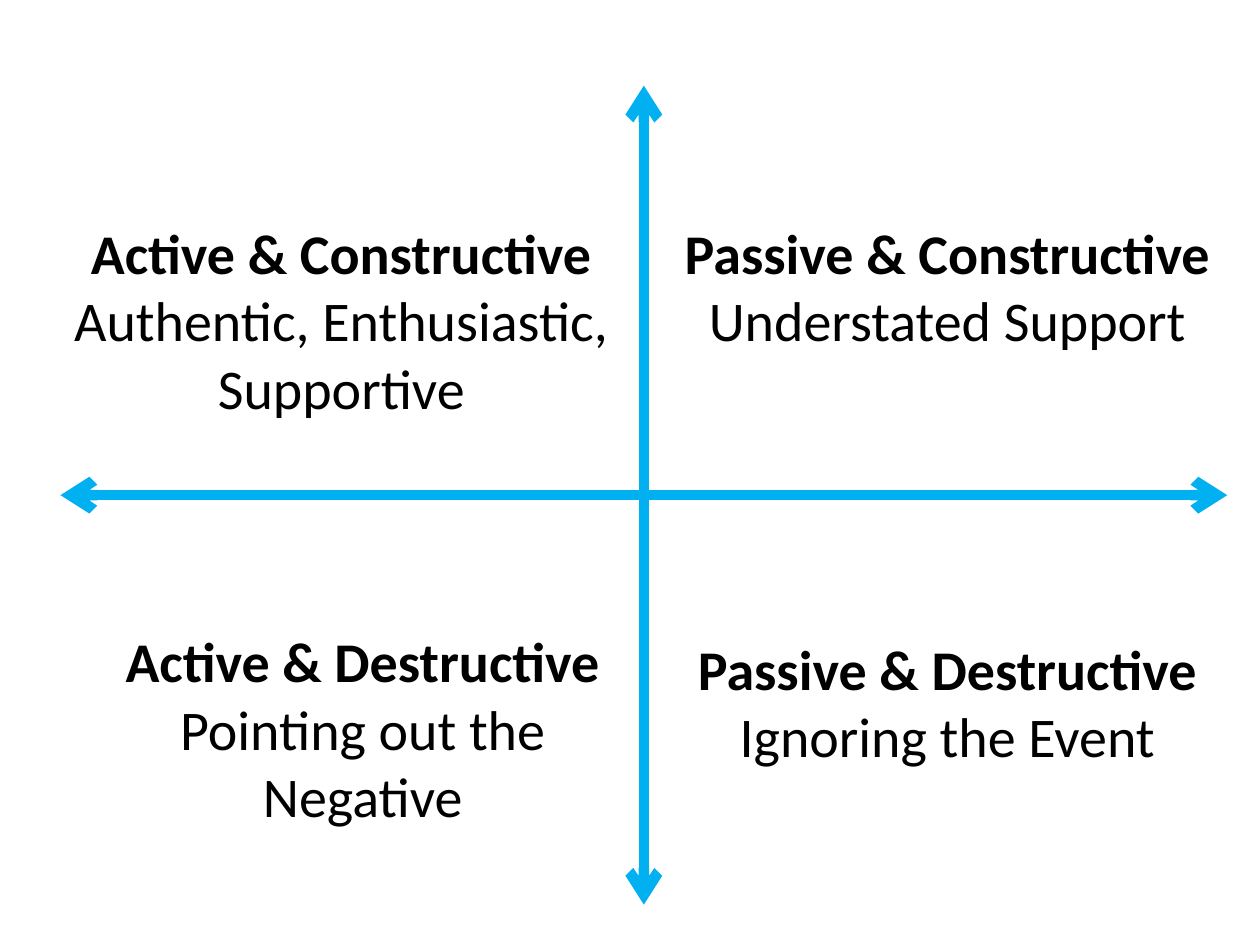
from lxml import etree
from pptx import Presentation
from pptx.dml.color import RGBColor
from pptx.enum.shapes import MSO_CONNECTOR
from pptx.enum.text import MSO_ANCHOR, PP_ALIGN
from pptx.oxml.ns import qn
from pptx.util import Inches, Pt

STRAIGHT = MSO_CONNECTOR.STRAIGHT
MIDDLE = MSO_ANCHOR.MIDDLE
CENTER = PP_ALIGN.CENTER

COLORS = {"background": "FFFFFF", "text": "000000", "axis": "00B0F0"}
FONT = "Calibri"

# Left, top, width, height in inches, then the heading and its description lines
QUADRANTS = [
    ((0.48, 1.15, 4.46, 2.77), "Active & Constructive",
     ["Authentic, Enthusiastic,", "Supportive"]),
    ((0.65, 4.39, 4.46, 2.77), "Active & Destructive",
     ["Pointing out the Negative"]),
    ((5.29, 1.15, 4.46, 2.24), "Passive & Constructive",
     ["Understated Support"]),
    ((5.29, 4.45, 4.46, 2.24), "Passive & Destructive",
     ["Ignoring the Event"]),
]


def color(name):
    return RGBColor.from_string(COLORS[name])


def add_quadrant(slide, box, heading, descriptions):
    shape = slide.shapes.add_textbox(*map(Inches, box))
    frame = shape.text_frame
    frame.word_wrap = True
    frame.vertical_anchor = MIDDLE
    for index, text in enumerate([heading, *descriptions]):
        paragraph = frame.paragraphs[0] if index == 0 else frame.add_paragraph()
        paragraph.alignment = CENTER
        run = paragraph.add_run()
        run.text = text
        run.font.name = FONT
        run.font.size = Pt(32)
        run.font.bold = index == 0
        run.font.color.rgb = color("text")


def add_axis(slide, start, end):
    """Draw a line with an open arrowhead at both ends."""
    connector = slide.shapes.add_connector(STRAIGHT, *map(Inches, start + end))
    connector.line.color.rgb = color("axis")
    connector.line.width = Pt(6)
    properties = connector._element.spPr
    outline = properties.find(qn("a:ln"))
    for tag in ("a:headEnd", "a:tailEnd"):
        etree.SubElement(outline, qn(tag), type="arrow")
    etree.SubElement(properties, qn("a:effectLst"))


def add_axes(slide, box):
    """Draw the two axes, which cross at the middle of the box."""
    left, top, width, height = box
    middle_x, middle_y = left + width / 2, top + height / 2
    add_axis(slide, (middle_x, top), (middle_x, top + height))
    add_axis(slide, (left, middle_y), (left + width, middle_y))


def main():
    presentation = Presentation()
    presentation.slide_width = Inches(10)
    presentation.slide_height = Inches(7.5)
    slide = presentation.slides.add_slide(presentation.slide_layouts[6])
    slide.background.fill.solid()
    slide.background.fill.fore_color.rgb = color("background")

    for box, heading, descriptions in QUADRANTS:
        add_quadrant(slide, box, heading, descriptions)
    add_axes(slide, (0.48, 0.68, 9.26, 6.5))
    presentation.save("out.pptx")


if __name__ == "__main__":
    main()
